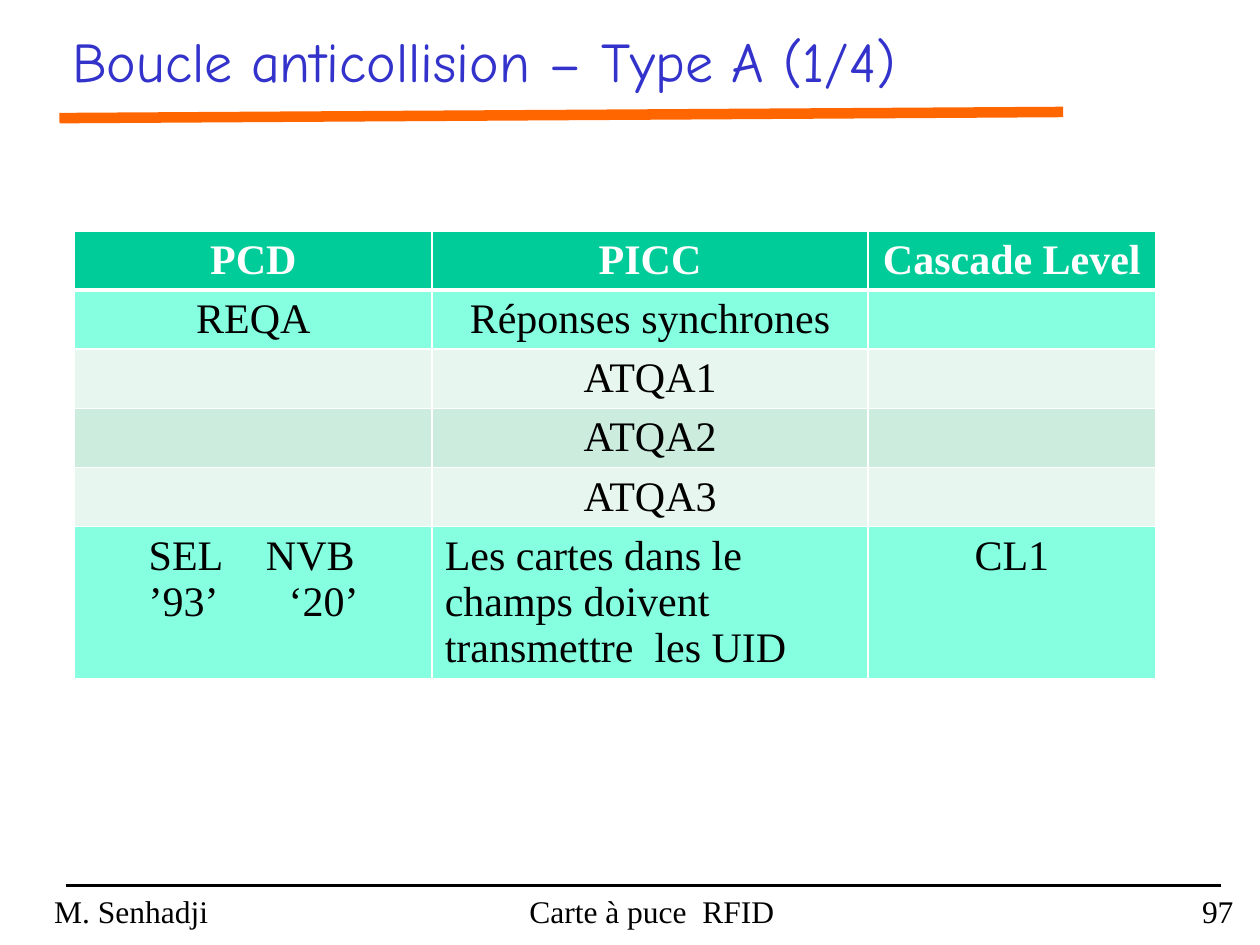
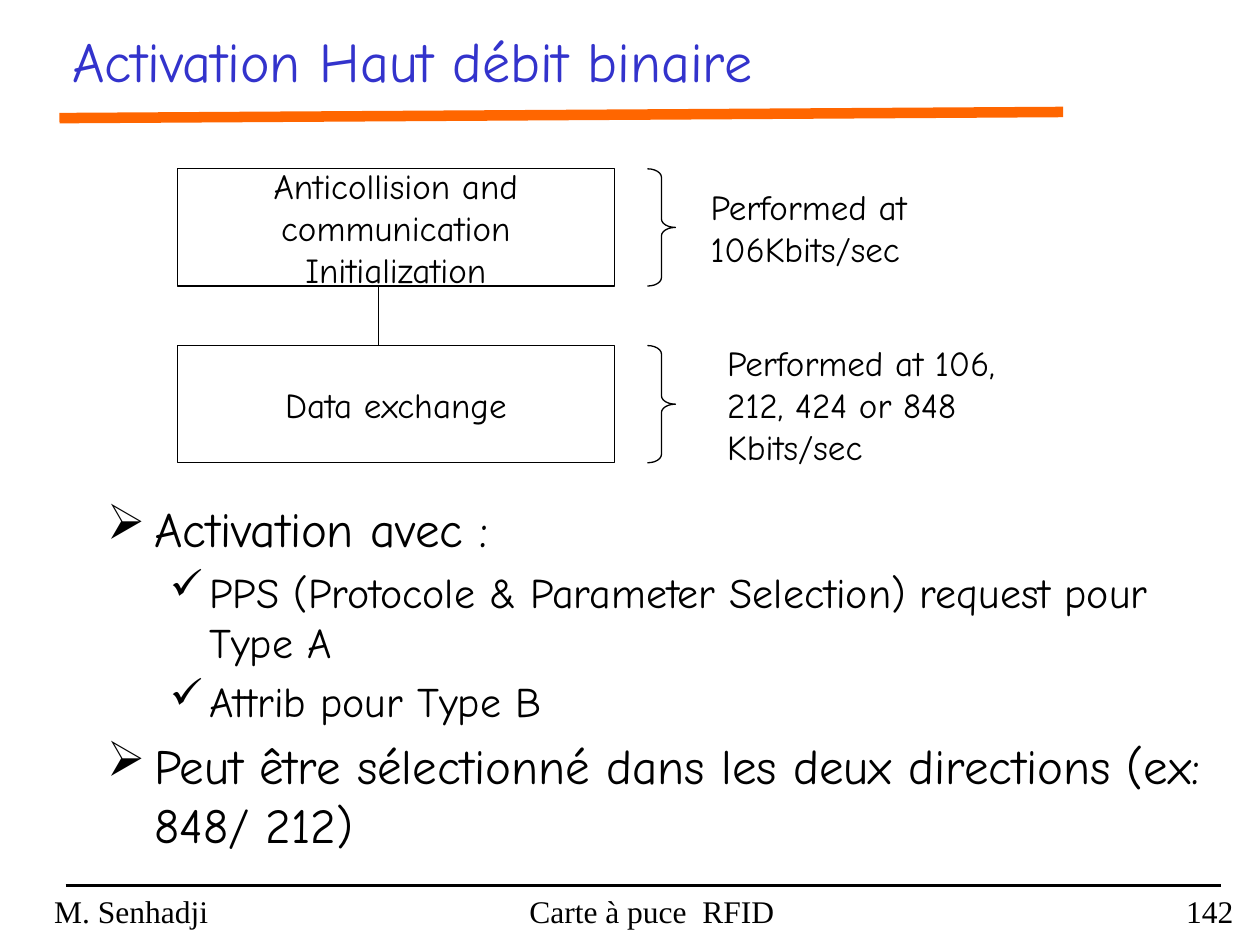
from lxml.etree import SubElement
from pptx import Presentation
from pptx.dml.color import RGBColor
from pptx.enum.shapes import MSO_CONNECTOR, MSO_SHAPE as Shape
from pptx.enum.text import MSO_ANCHOR as Anchor, MSO_AUTO_SIZE as AutoSize, PP_ALIGN as Align
from pptx.oxml import parse_xml
from pptx.oxml.ns import nsdecls, qn
from pptx.util import Pt

SANS, SERIF = "Comic Neue", "Times New Roman"
BLACK, WHITE, ORANGE, BLUE = "000000", "FFFFFF", "FF6600", "3333CC"
GREEN, AQUA, MIST, MINT = "00CC99", "85FFE0", "E7F6EF", "CCECDE"

rgb = RGBColor.from_string


def write(shape, text, size, font=SANS, color=BLACK, align=Align.LEFT, anchor=Anchor.MIDDLE):
    frame = shape.text_frame
    frame.word_wrap = True
    frame.auto_size = AutoSize.NONE
    frame.vertical_anchor = anchor
    frame.text = text
    for paragraph in frame.paragraphs:
        paragraph.alignment = align
        paragraph.font.size = Pt(size)
        paragraph.font.name = font
        paragraph.font.color.rgb = rgb(color)


def draw_line(slide, x1, y1, x2, y2, color, width):
    line = slide.shapes.add_connector(MSO_CONNECTOR.STRAIGHT, Pt(x1), Pt(y1), Pt(x2), Pt(y2))
    line.line.color.rgb = rgb(color)
    line.line.width = Pt(width)
    SubElement(line._element.spPr, qn("a:effectLst"))


presentation = Presentation()
presentation.slide_width, presentation.slide_height = Pt(720), Pt(540)
title_only = presentation.slide_layouts[5]

# Title, rules and footer of every slide
slides = []
for heading, number in (("Boucle anticollision – Type A (1/4)", "97"),
                        ("Activation Haut débit binaire", "142")):
    slide = presentation.slides.add_slide(title_only)
    slides.append(slide)
    draw_line(slide, 34, 67.5, 607.5, 64, ORANGE, 6)
    draw_line(slide, 37.5, 506, 697.5, 506, BLACK, 2.25)
    title = slide.shapes.title
    title.left, title.top, title.width, title.height = Pt(34), Pt(11.5), Pt(608), Pt(46)
    write(title, heading, 32, color=BLUE)
    for text, left, width, align in (("M. Senhadji", 0, 150, Align.CENTER),
                                     ("Carte à puce  RFID", 258.5, 228, Align.CENTER),
                                     (number, 618.5, 93.5, Align.RIGHT)):
        footer = slide.shapes.add_textbox(Pt(left), Pt(506), Pt(width), Pt(34))
        write(footer, text, 18, SERIF, align=align, anchor=Anchor.TOP)

anticollision, activation = slides

# Exchange between reader and cards
exchange = [
    (GREEN, ("PCD", "PICC", "Cascade Level")),
    (AQUA, ("REQA", "Réponses synchrones", "")),
    (MIST, ("", "ATQA1", "")),
    (MINT, ("", "ATQA2", "")),
    (MIST, ("", "ATQA3", "")),
    (AQUA, ("SEL\tNVB\n’93’\t‘20’",
            "Les cartes dans le champs doivent transmettre  les UID", "CL1")),
]
table = anticollision.shapes.add_table(len(exchange), 3, Pt(42.5), Pt(132),
                                       Pt(618), Pt(177)).table
table.first_row = table.horz_banding = False
for column, width in zip(table.columns, (204.5, 249, 164.5)):
    column.width = Pt(width)
for r, (row_fill, texts) in enumerate(exchange):
    table.rows[r].height = Pt(29.5)
    for c, text in enumerate(texts):
        cell = table.cell(r, c)
        cell_properties = cell._tc.get_or_add_tcPr()
        for side in "LRTB":
            thick = (r, side) in ((0, "B"), (1, "T"))
            cell_properties.append(parse_xml(
                f'<a:ln{side} {nsdecls("a")} w="{Pt(3 if thick else 1)}"><a:solidFill>'
                f'<a:srgbClr val="{WHITE}"/></a:solidFill></a:ln{side}>'))
        cell.fill.solid()
        cell.fill.fore_color.rgb = rgb(row_fill)
        cell.text = text
        for paragraph in cell.text_frame.paragraphs:
            paragraph.alignment = Align.LEFT if r == 5 and c < 2 else Align.CENTER
            paragraph.font.size = Pt(24)
            paragraph.font.name = SERIF
            paragraph.font.bold = r == 0
            paragraph.font.color.rgb = rgb(BLACK if r else WHITE)

# Command bytes aligned under their field names
command = table.cell(5, 0)
command.margin_left = Pt(42.5)
for paragraph, stop in zip(command.text_frame.paragraphs, (67, 80)):
    paragraph._p.get_or_add_pPr().insert(0, parse_xml(
        f'<a:tabLst {nsdecls("a")}><a:tab pos="{Pt(stop)}" algn="l"/></a:tabLst>'))

# Phases with their bit rates
phases = [
    (96.5, "Anticollision and communication Initialization", 399, "Performed at 106Kbits/sec"),
    (197.5, "Data exchange", 408.5, "Performed at 106, 212, 424 or 848 Kbits/sec"),
]
for top, phase, rate_left, rate in phases:
    for kind, left, width, text, align in (
            (Shape.RECTANGLE, 101.5, 249.5, phase, Align.CENTER),
            (Shape.RIGHT_BRACE, 370, 16, None, None),
            (Shape.RECTANGLE, rate_left, 191.5, rate, Align.LEFT)):
        part = activation.shapes.add_shape(kind, Pt(left), Pt(top), Pt(width), Pt(67))
        part.shadow.inherit = False
        if text is None:
            part.fill.background()
            part.adjustments[0] = 0.3
        else:
            part.fill.solid()
            part.fill.fore_color.rgb = rgb(WHITE)
            write(part, text, 20, align=align)
        if text == rate:
            part.line.fill.background()
        else:
            part.line.color.rgb = rgb(BLACK)
            part.line.width = Pt(0.75)
draw_line(activation, 216.5, 163.5, 216.5, 197.5, BLACK, 0.75)

# Ways to activate the high bit rate
points = [
    (0, "Activation avec :"),
    (1, "PPS (Protocole & Parameter Selection) request pour Type A"),
    (1, "Attrib pour Type B"),
    (0, "Peut être sélectionné dans les deux directions (ex: 848/ 212)"),
]
levels = [("➢", 28, 27, 27), ("✓", 24, 58.5, 22.5)]
body = activation.shapes.add_textbox(Pt(54), Pt(281.5), Pt(646.5), Pt(186))
write(body, "\n".join(text for _, text in points), 28, anchor=Anchor.TOP)
for i, (paragraph, (level, _)) in enumerate(zip(body.text_frame.paragraphs, points)):
    bullet, size, margin, hanging = levels[level]
    paragraph.level = level
    properties = paragraph._p.get_or_add_pPr()
    properties.set("marL", str(Pt(margin)))
    properties.set("indent", str(-Pt(hanging)))
    properties.insert(0, parse_xml(f'<a:buChar {nsdecls("a")} char="{bullet}"/>'))
    paragraph.font.size = Pt(size)
    if i:
        paragraph.space_before = Pt(0.2 * size)

presentation.save("out.pptx")
